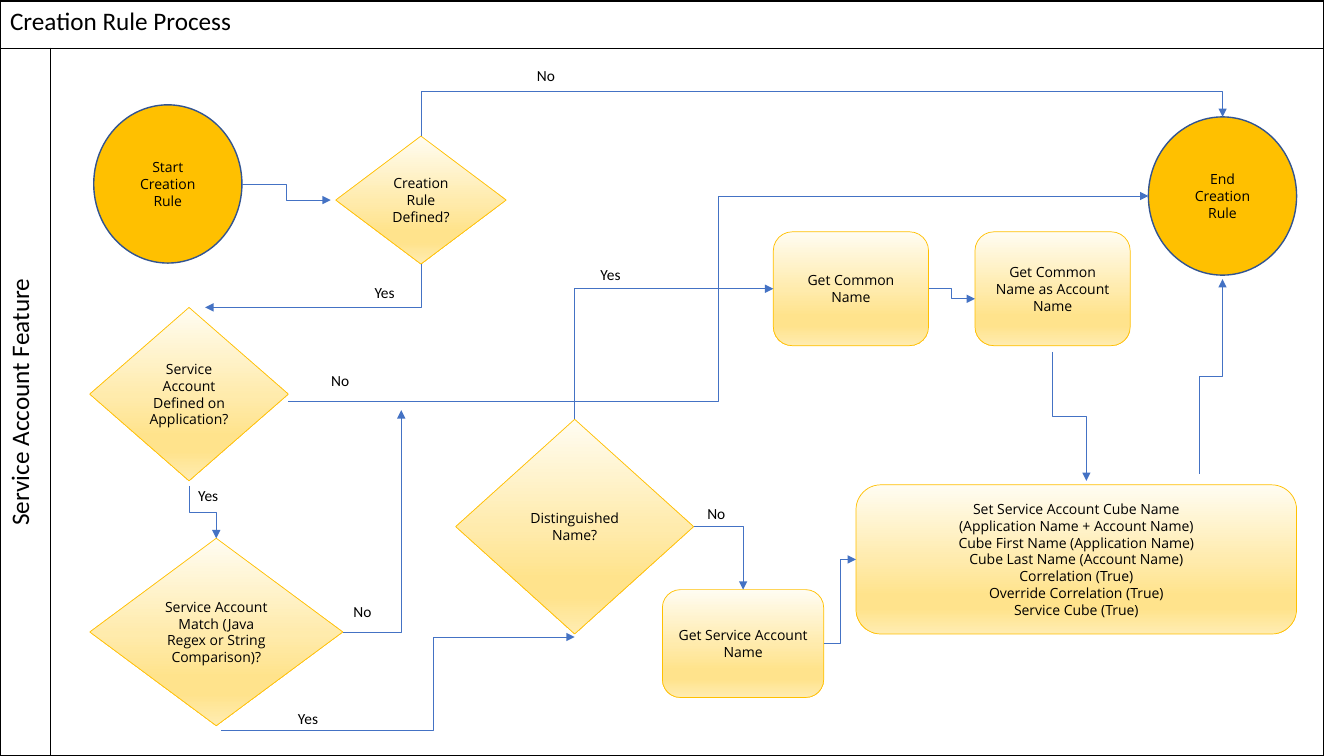
from dataclasses import dataclass

from lxml import etree
from pptx import Presentation
from pptx.dml.color import RGBColor
from pptx.enum import shapes, text
from pptx.oxml.ns import qn
from pptx.util import Inches, Pt


@dataclass(frozen=True)
class Theme:
    ink: str = "000000"
    terminal: str = "FFC000"
    terminal_edge: str = "325491"
    step_edge: str = "FFC000"
    route: str = "4472C4"
    step_stops: tuple = ((0, "FFFCF2"), (51, "FFEBAC"), (74, "FFE38C"),
                         (83, "FFE38C"), (100, "FFECB2"))
    heading_font: str = "Calibri"
    step_font: str = "Open Sans"
    heading_size: int = 18
    label_size: int = 11
    step_size: int = 10
    heavy: float = 1
    thin: float = 0.5


THEME = Theme()
SIDES = {"left": (0, 0.5), "right": (1, 0.5), "top": (0.5, 0), "bottom": (0.5, 1)}


@dataclass(frozen=True)
class Box:
    left: float
    top: float
    width: float
    height: float

    def inches(self):
        return [Inches(v) for v in (self.left, self.top, self.width, self.height)]

    def within(self, outer):
        return Box(outer.left + self.left, outer.top + self.top, self.width, self.height)

    def side(self, name, dx=0, dy=0):
        """Middle of the named side, shifted by dx and dy."""
        across, down = SIDES[name]
        return self.left + across * self.width + dx, self.top + down * self.height + dy


OVAL, DIAMOND, ROUNDED = (shapes.MSO_SHAPE.OVAL, shapes.MSO_SHAPE.DIAMOND,
                          shapes.MSO_SHAPE.ROUNDED_RECTANGLE)

# Places are relative to the swimlane.
STEPS = {
    "start": (OVAL, Box(0.43, 0.56, 1.47, 1.57), "Start Creation Rule"),
    "defined": (DIAMOND, Box(2.83, 0.87, 1.69, 1.27), "Creation Rule Defined?"),
    "account": (DIAMOND, Box(0.39, 2.57, 1.97, 1.72),
                "Service Account Defined on Application?"),
    "match": (DIAMOND, Box(0.39, 4.86, 2.51, 1.86),
              "Service Account Match (Java Regex or String Comparison)?"),
    "cube": (ROUNDED, Box(7.99, 4.33, 4.37, 1.48),
             "Set Service Account Cube Name\n(Application Name + Account Name)\n"
             "Cube First Name (Application Name)\nCube Last Name (Account Name)\n"
             "Correlation (True)\nOverride Correlation (True)\nService Cube (True)"),
    "service name": (ROUNDED, Box(6.07, 5.37, 1.6, 1.07), "Get Service Account Name"),
    "distinguished": (DIAMOND, Box(4.02, 3.68, 2.36, 2.13), "Distinguished Name?"),
    "common": (ROUNDED, Box(7.17, 1.82, 1.54, 1.13), "Get Common Name"),
    "as account": (ROUNDED, Box(9.17, 1.82, 1.54, 1.13),
                   "Get Common Name as Account Name"),
    "end": (OVAL, Box(10.89, 0.68, 1.47, 1.57), "End\nCreation Rule"),
}

# Each end is (step, side, dx, dy); a bend of None turns a single corner.
ROUTES = [
    (("start", "right"), ("defined", "left", -0.05), "across", 0.5),
    (("defined", "top"), ("end", "top"), "down", 2.33),
    (("defined", "bottom"), ("account", "top", 0.16), "down", None),
    (("account", "right", 0, 0.07), ("end", "left"), "across", 0.5),
    (("match", "right"), ("account", "right", 1.12, 0.16), "across", None),
    (("account", "bottom", 0, 0.05), ("match", "top"), "down", 0.5),
    (("match", "bottom", 0.05, 0.05), ("distinguished", "bottom", 0, 0.03),
     "across", 0.6),
    (("distinguished", "right"), ("service name", "top"), "across", None),
    (("service name", "right"), ("cube", "left"), "across", 0.5),
    (("as account", "bottom", 0, 0.06), ("cube", "top", 0.1, -0.04), "down", 0.5),
    (("common", "right"), ("as account", "left", 0, 0.1), "across", 0.5),
    (("cube", "top", 1.22, -0.11), ("end", "bottom", 0, 0.04), "down", 0.5),
    (("distinguished", "top"), ("common", "left"), "down", None),
]

ANSWERS = {
    "Yes": [(3.04, 2.2), (1.29, 4.21), (2.28, 6.43), (5.28, 2.02)],
    "No": [(6.33, 4.39), (2.82, 5.37), (2.6, 3.07), (4.64, 0.05)],
}


def colour(code):
    return RGBColor.from_string(code)


def write(frame, words, font, size, align=text.PP_ALIGN.CENTER):
    frame.text = words
    for paragraph in frame.paragraphs:
        paragraph.alignment = align
        for run in paragraph.runs:
            run.font.name, run.font.size = font, Pt(size)
            run.font.color.rgb = colour(THEME.ink)


def add_colour(parent, code):
    etree.SubElement(parent, qn("a:srgbClr"), val=code)


def border_cell(cell):
    props = cell._tc.get_or_add_tcPr()
    for edge in ("a:lnL", "a:lnR", "a:lnT", "a:lnB"):
        line = etree.SubElement(props, qn(edge), w=str(Pt(THEME.heavy)))
        add_colour(etree.SubElement(line, qn("a:solidFill")), THEME.ink)
    cell.fill.background()


def draw_frame(slide, box, title, lane_name, title_height, name_width):
    """Draw the swimlane table and return the box of its open lane."""
    table = slide.shapes.add_table(2, 2, *box.inches()).table
    table.first_row = table.horz_banding = False
    lane = Box(box.left + name_width, box.top + title_height,
               box.width - name_width, box.height - title_height)
    for column, width in zip(table.columns, (name_width, lane.width)):
        column.width = Inches(width)
    for row, height in zip(table.rows, (title_height, lane.height)):
        row.height = Inches(height)
    for cell in table.iter_cells():
        border_cell(cell)
    table.cell(0, 0).merge(table.cell(0, 1))
    write(table.cell(0, 0).text_frame, title, THEME.heading_font,
          THEME.heading_size, text.PP_ALIGN.LEFT)
    name_cell = table.cell(1, 0)
    write(name_cell.text_frame, lane_name, THEME.heading_font, THEME.heading_size)
    name_cell._tc.get_or_add_tcPr().set("vert", "vert270")
    return lane


def fill_step(fill):
    fill.gradient()
    fill.gradient_angle = 270
    stops = fill._xPr.find(qn("a:gradFill")).find(qn("a:gsLst"))
    for stop in list(stops):
        stops.remove(stop)
    for position, code in THEME.step_stops:
        add_colour(etree.SubElement(stops, qn("a:gs"), pos=str(position * 1000)), code)


def draw_steps(slide, lane):
    for outline, place, words in STEPS.values():
        step = slide.shapes.add_shape(outline, *place.within(lane).inches())
        step.shadow.inherit = False
        if outline == OVAL:
            step.fill.solid()
            step.fill.fore_color.rgb = colour(THEME.terminal)
            edge, weight = THEME.terminal_edge, THEME.heavy
        else:
            fill_step(step.fill)
            edge, weight = THEME.step_edge, THEME.thin
        step.line.color.rgb, step.line.width = colour(edge), Pt(weight)
        step.text_frame.word_wrap = True
        step.text_frame.vertical_anchor = text.MSO_ANCHOR.MIDDLE
        write(step.text_frame, words, THEME.step_font, THEME.step_size)


def draw_route(slide, begin, end, direction, bend):
    (x1, y1), (x2, y2) = begin, end
    if direction == "down":  # the frame is laid on its side, then turned by 90 degrees
        mid_x, mid_y = (x1 + x2) / 2, (y1 + y2) / 2
        half_x, half_y = (x2 - x1) / 2, (y2 - y1) / 2
        x1, y1, x2, y2 = mid_x - half_y, mid_y + half_x, mid_x + half_y, mid_y - half_x
    route = slide.shapes.add_connector(
        shapes.MSO_CONNECTOR.ELBOW, *[Inches(v) for v in (x1, y1, x2, y2)])
    route.line.color.rgb, route.line.width = colour(THEME.route), Pt(THEME.thin)
    props = route._element.spPr
    if direction == "down":
        props.find(qn("a:xfrm")).set("rot", "5400000")
    geometry = props.find(qn("a:prstGeom"))
    if bend is None:
        geometry.set("prst", "bentConnector2")
    else:
        etree.SubElement(geometry.find(qn("a:avLst")), qn("a:gd"), name="adj1",
                         fmla=f"val {round(bend * 100000)}")
    etree.SubElement(props.find(qn("a:ln")), qn("a:tailEnd"), type="triangle")
    etree.SubElement(props, qn("a:effectLst"))


def draw_routes(slide, lane):
    for begin, end, direction, bend in ROUTES:
        points = [STEPS[step][1].within(lane).side(*spot) for step, *spot in (begin, end)]
        draw_route(slide, *points, direction, bend)


def draw_answers(slide, lane):
    for answer, places in ANSWERS.items():
        for left, top in places:
            place = Box(left, top, 0.55, 0.44).within(lane)
            frame = slide.shapes.add_textbox(*place.inches()).text_frame
            frame.word_wrap = True
            frame.vertical_anchor = text.MSO_ANCHOR.MIDDLE
            write(frame, answer, THEME.heading_font, THEME.label_size)


def main():
    deck = Presentation()
    deck.slide_width, deck.slide_height = Inches(13.33), Inches(7.5)
    slide = deck.slides.add_slide(deck.slide_layouts[6])
    lane = draw_frame(slide, Box(0, 0.01, 13.13, 7.49), "Creation Rule Process",
                      "Service Account Feature", title_height=0.47, name_width=0.5)
    draw_steps(slide, lane)
    draw_routes(slide, lane)
    draw_answers(slide, lane)
    deck.save("out.pptx")


if __name__ == "__main__":
    main()
